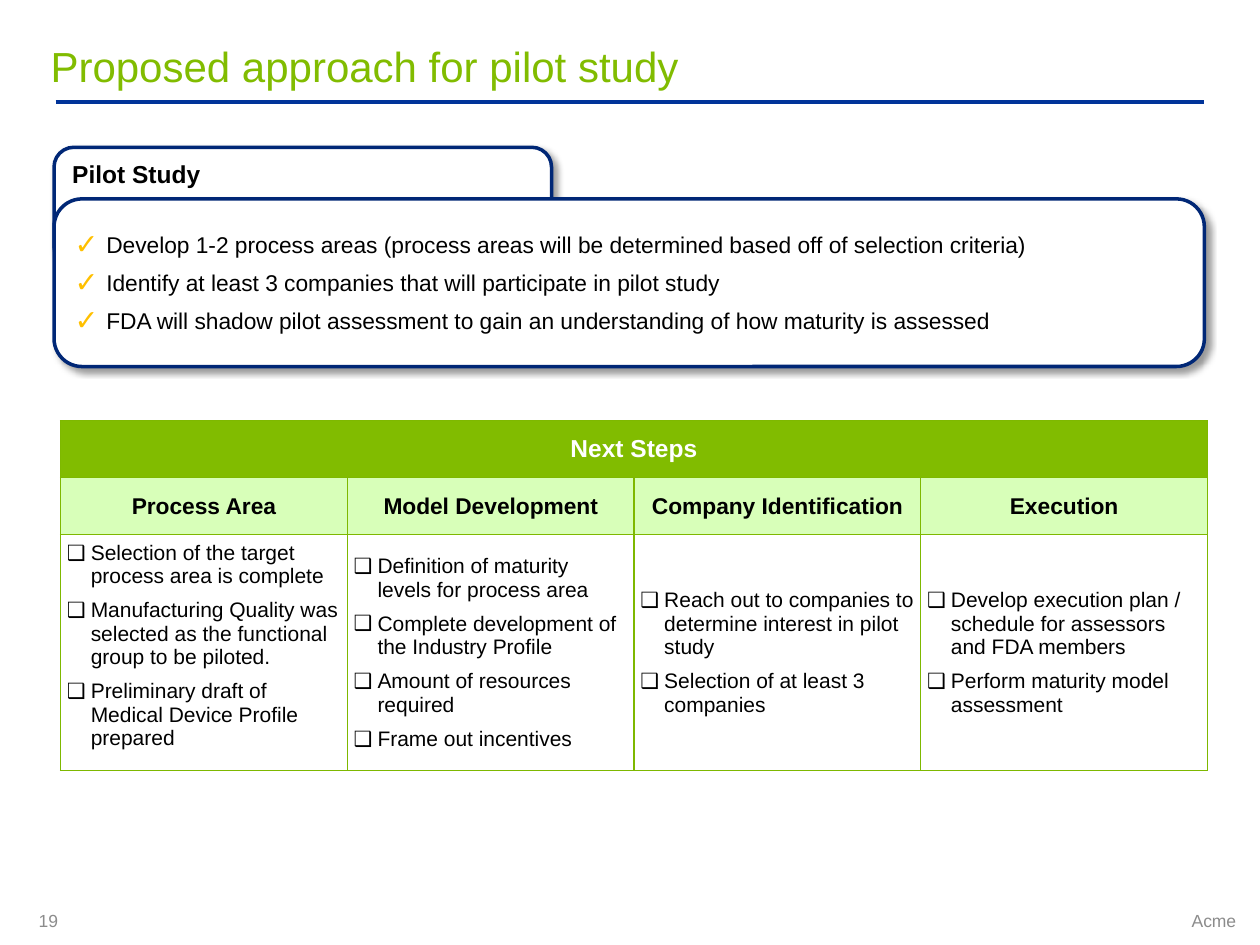
"""Builds the pilot study slide with its goals and next steps."""
from dataclasses import dataclass
from typing import Optional

from lxml import etree
from pptx import Presentation
from pptx import util as u
from pptx.dml import color
from pptx.enum import shapes, text
from pptx.oxml import ns

COLORS = {
    "green": "81BC00", "pale": "D8FFB9", "border": "7EB800", "rule": "003399",
    "navy": "002776", "gold": "FFC000", "grey": "8C8C8C", "white": "FFFFFF",
    "black": "000000",
}
TOP, MIDDLE = text.MSO_ANCHOR.TOP, text.MSO_ANCHOR.MIDDLE
LEFT, CENTER, RIGHT = text.PP_ALIGN.LEFT, text.PP_ALIGN.CENTER, text.PP_ALIGN.RIGHT


@dataclass(frozen=True)
class Box:
    left: float
    top: float
    width: float
    height: float

    def lengths(self) -> tuple:
        return tuple(u.Cm(v) for v in (self.left, self.top, self.width, self.height))


@dataclass(frozen=True)
class Bullet:
    char: str
    indent: float
    color: Optional[str] = None
    percent: int = 100


@dataclass(frozen=True)
class Step:
    heading: str
    tasks: tuple
    anchor: text.MSO_ANCHOR = MIDDLE


CHECK = Bullet("✓", 0.64, "gold", 125)
CHECKBOX = Bullet("❑", 0.48)
GOALS = (
    "Develop 1-2 process areas (process areas will be determined based off of selection criteria)",
    "Identify at least 3 companies that will participate in pilot study",
    "FDA will shadow pilot assessment to gain an understanding of how maturity is assessed",
)
STEPS = (
    Step("Process Area", (
        "Selection of the target process area is complete",
        "Manufacturing Quality was selected as the functional group to be piloted.",
        "Preliminary draft of Medical Device Profile prepared"), TOP),
    Step("Model Development", (
        "Definition of maturity levels for process area",
        "Complete development of the Industry Profile",
        "Amount of resources required",
        "Frame out incentives")),
    Step("Company Identification", (
        "Reach out to companies to determine interest in pilot study",
        "Selection of at least 3 companies")),
    Step("Execution", (
        "Develop execution plan / schedule for assessors and FDA members",
        "Perform maturity model assessment")),
)


def rgb(name: str) -> color.RGBColor:
    return color.RGBColor.from_string(COLORS[name])


def add(parent, tag: str, **attributes):
    values = {key: str(value) for key, value in attributes.items()}
    return etree.SubElement(parent, ns.qn(tag), values)


def write(frame, *lines: str, size: float, ink: str = "black", bold: bool = False,
          align=LEFT, bullet: Optional[Bullet] = None) -> None:
    for index, line in enumerate(lines):
        paragraph = frame.add_paragraph() if index else frame.paragraphs[0]
        paragraph.alignment = align
        run = paragraph.add_run()
        run.text = line
        run.font.name, run.font.size, run.font.bold = "Arial", u.Pt(size), bold
        run.font.color.rgb = rgb(ink)
        if bullet:
            paragraph.space_before = paragraph.space_after = u.Pt(3)
            props = paragraph._p.get_or_add_pPr()
            props.set("marL", str(u.Cm(bullet.indent)))
            props.set("indent", str(-u.Cm(bullet.indent)))
            if bullet.color:
                add(add(props, "a:buClr"), "a:srgbClr", val=COLORS[bullet.color])
            add(props, "a:buSzPct", val=bullet.percent * 1000)
            add(props, "a:buFont", typeface="Arial")
            add(props, "a:buChar", char=bullet.char)


def set_margins(target, margin: float) -> None:
    target.margin_left = target.margin_right = u.Cm(margin)
    target.margin_top = target.margin_bottom = u.Cm(margin)


def add_label(slide, box: Box, label: str, anchor=MIDDLE, **style) -> None:
    frame = slide.shapes.add_textbox(*box.lengths()).text_frame
    set_margins(frame, 0)
    frame.word_wrap, frame.vertical_anchor = True, anchor
    write(frame, label, **style)


def add_panel(slide, box: Box, *lines: str, anchor=MIDDLE, **style) -> None:
    panel = slide.shapes.add_shape(shapes.MSO_SHAPE.ROUNDED_RECTANGLE, *box.lengths())
    panel.fill.solid()
    panel.fill.fore_color.rgb = rgb("white")
    panel.line.color.rgb, panel.line.width = rgb("navy"), u.Pt(2)
    panel.shadow.inherit = False
    effects = panel._element.spPr.find(ns.qn("a:effectLst"))
    shadow = add(effects, "a:outerShdw", blurRad=u.Pt(4), dist=u.Pt(3),
                 dir=45 * 60000, algn="tl", rotWithShape=0)
    add(add(shadow, "a:srgbClr", val=COLORS["black"]), "a:alpha", val=40000)
    panel.text_frame.word_wrap = True
    panel.text_frame.vertical_anchor = anchor
    write(panel.text_frame, *lines, **style)


def style_cell(cell, fill: str, margin: float, anchor=MIDDLE) -> None:
    cell.fill.solid()
    cell.fill.fore_color.rgb = rgb(fill)
    cell.vertical_anchor = anchor
    set_margins(cell, margin)
    props = cell._tc.get_or_add_tcPr()
    for index, side in enumerate(("a:lnL", "a:lnR", "a:lnT", "a:lnB")):
        border = add(props, side, w=u.Pt(0.75))
        add(add(border, "a:solidFill"), "a:srgbClr", val=COLORS["border"])
        props.insert(index, border)


def add_next_steps(slide, box: Box, heights: tuple) -> None:
    table = slide.shapes.add_table(len(heights), len(STEPS), *box.lengths()).table
    for row, height in zip(table.rows, heights):
        row.height = u.Cm(height)
    for index, step in enumerate(STEPS):
        table.columns[index].width = u.Cm(box.width / len(STEPS))
        title, heading, tasks = (table.cell(row, index) for row in range(3))
        style_cell(title, "green", 0.25)
        style_cell(heading, "pale", 0.25)
        style_cell(tasks, "white", 0.13, step.anchor)
        write(heading.text_frame, step.heading, size=13, bold=True, align=CENTER)
        write(tasks.text_frame, *step.tasks, size=12, bullet=CHECKBOX)
    banner = table.cell(0, 0)
    banner.merge(table.cell(0, len(STEPS) - 1))
    write(banner.text_frame, "Next Steps", size=14, ink="white", bold=True, align=CENTER)


def add_rule(slide, left: float, right: float, y: float) -> None:
    rule = slide.shapes.add_connector(shapes.MSO_CONNECTOR.STRAIGHT,
                                      u.Cm(left), u.Cm(y), u.Cm(right), u.Cm(y))
    rule.line.color.rgb, rule.line.width = rgb("rule"), u.Pt(2.25)
    add(rule._element.spPr, "a:effectLst")


def main() -> None:
    deck = Presentation()
    deck.slide_width, deck.slide_height = u.Cm(25.4), u.Cm(19.05)
    slide = deck.slides.add_slide(deck.slide_layouts[6])
    add_label(slide, Box(17.35, 18.34, 7.57, 0.43), "Acme", size=10, ink="grey", align=RIGHT)
    add_rule(slide, 1.12, 24.28, 2.06)
    add_label(slide, Box(0.78, 18.34, 0.5, 0.43), "19", size=10, ink="grey")
    add_label(slide, Box(1.02, 0.81, 23.37, 3.45), "Proposed approach for pilot study",
              anchor=TOP, size=24, ink="green")
    add_panel(slide, Box(1.09, 2.97, 10.03, 2.39), "Pilot Study",
              anchor=TOP, size=14, bold=True)
    add_panel(slide, Box(1.09, 4.01, 23.19, 3.38), *GOALS, size=13, bullet=CHECK)
    add_next_steps(slide, Box(1.22, 8.48, 23.12, 6.78), (1.15, 1.15, 4.48))
    deck.save("out.pptx")


main()
